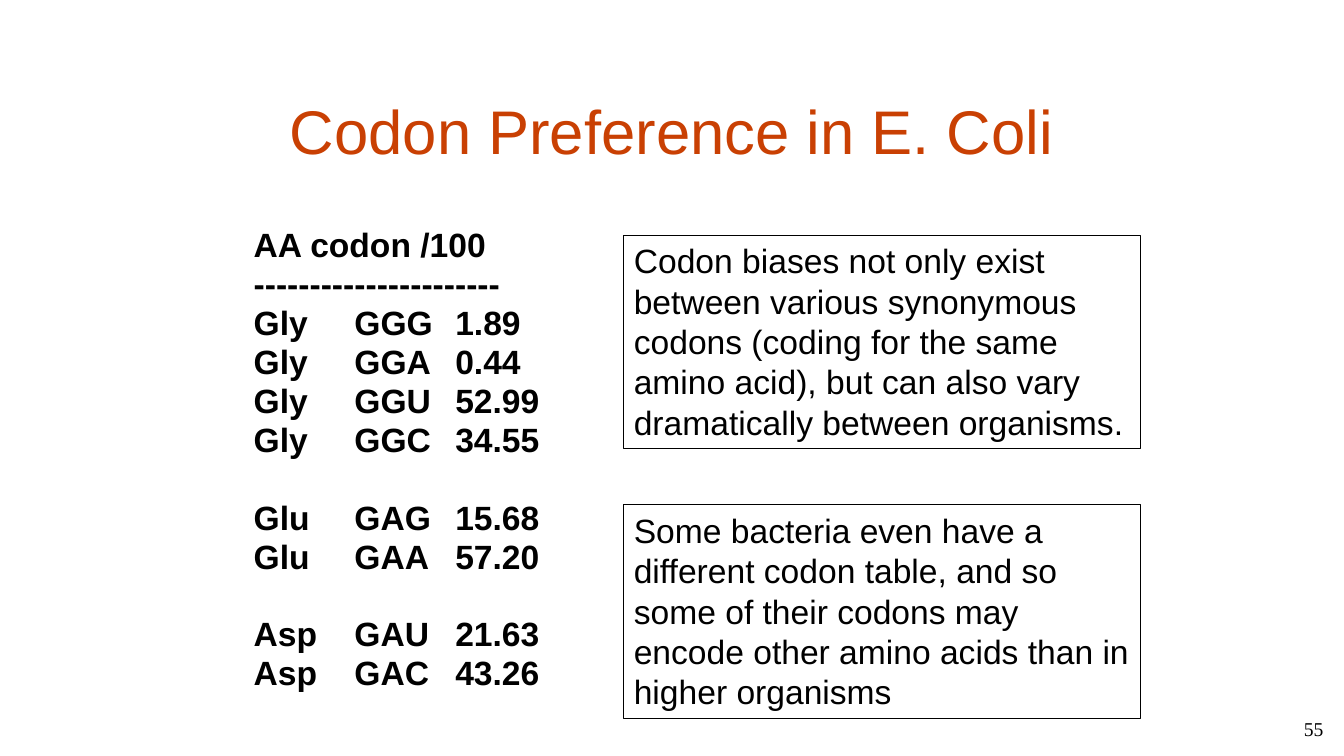
from pptx import Presentation
from pptx.dml.color import RGBColor
from pptx.enum.shapes import MSO_SHAPE
from pptx.enum.text import MSO_ANCHOR, MSO_AUTO_SIZE, PP_ALIGN
from pptx.oxml import parse_xml
from pptx.oxml.ns import nsdecls
from pptx.util import Pt

LEFT, CENTER, RIGHT = PP_ALIGN.LEFT, PP_ALIGN.CENTER, PP_ALIGN.RIGHT
TOP, MIDDLE = MSO_ANCHOR.TOP, MSO_ANCHOR.MIDDLE
NO_AUTOFIT = MSO_AUTO_SIZE.NONE
RECTANGLE = MSO_SHAPE.RECTANGLE

BLACK, WHITE, RUST = "000000", "FFFFFF", "C94003"
CODON_TABS = (99, 171)
ROW_HEIGHT, ROW_GAP = 23, 4.8
CODON_GROUPS = [
    ["AA codon /100", "----------------------", "Gly\tGGG\t1.89",
     "Gly\tGGA\t0.44", "Gly\tGGU\t52.99", "Gly\tGGC\t34.55"],
    ["Glu\tGAG\t15.68", "Glu\tGAA\t57.20"],
    ["Asp\tGAU\t21.63", "Asp\tGAC\t43.26"],
]
REMARKS = [
    ("Codon biases not only exist between various synonymous codons "
     "(coding for the same amino acid), but can also vary dramatically "
     "between organisms.", None),
    ("Some bacteria even have a different codon table, and so some of their "
     "codons may encode other amino acids than in higher organisms", WHITE),
]


def color(hex_value):
    """Turn a hex string into a colour."""
    return RGBColor.from_string(hex_value)


def place(shape, box):
    """Move a shape to a box given in points."""
    shape.left, shape.top, shape.width, shape.height = map(Pt, box)


def style(paragraph, size, hex_value=BLACK, font="Arial", bold=False, align=LEFT):
    """Set the font and alignment of a paragraph."""
    paragraph.alignment = align
    paragraph.font.name = font
    paragraph.font.size = Pt(size)
    paragraph.font.bold = bold
    paragraph.font.color.rgb = color(hex_value)


def add_title(slide, box):
    """Fill the title placeholder."""
    title = slide.shapes.title
    place(title, box)
    frame = title.text_frame
    frame.text = "Codon Preference in E. Coli"
    frame.vertical_anchor = MIDDLE
    frame.auto_size = NO_AUTOFIT
    style(frame.paragraphs[0], 44, RUST, align=CENTER)


def set_columns(paragraph):
    """Remove the bullet and indent and set the codon tab stops."""
    properties = paragraph._p.get_or_add_pPr()
    properties.set("marL", "0")
    properties.set("indent", "0")
    stops = "".join(f'<a:tab pos="{Pt(stop)}" algn="l"/>' for stop in CODON_TABS)
    properties.append(parse_xml(f"<a:buNone {nsdecls('a')}/>"))
    properties.append(parse_xml(f"<a:tabLst {nsdecls('a')}>{stops}</a:tabLst>"))


def add_codons(slide, box):
    """List the codon frequencies, one group per amino acid."""
    codons = slide.placeholders[1]
    place(codons, box)
    frame = codons.text_frame
    frame.auto_size = NO_AUTOFIT
    frame.vertical_anchor = TOP
    frame.margin_top = Pt(38)
    frame.text = "\n".join(row for group in CODON_GROUPS for row in group)
    rows = iter(frame.paragraphs)
    for group in CODON_GROUPS:
        for position in range(len(group)):
            row = next(rows)
            set_columns(row)
            style(row, 24, bold=True)
            row.line_spacing = Pt(ROW_HEIGHT)
            row.space_before = Pt(ROW_GAP if position else 2 * ROW_GAP + ROW_HEIGHT)
    frame.paragraphs[0].space_before = Pt(0)


def add_remark(slide, box, wording, fill):
    """Draw a framed remark."""
    remark = slide.shapes.add_shape(RECTANGLE, *map(Pt, box))
    remark.shadow.inherit = False
    remark.line.color.rgb = color(BLACK)
    remark.line.width = Pt(0.75)
    if fill:
        remark.fill.solid()
        remark.fill.fore_color.rgb = color(fill)
    else:
        remark.fill.background()
    frame = remark.text_frame
    frame.word_wrap = True
    frame.vertical_anchor = TOP
    frame.text = wording
    style(frame.paragraphs[0], 24)
    frame.paragraphs[0].line_spacing = Pt(28.8)


def add_page_number(slide, box):
    """Write the page number."""
    frame = slide.shapes.add_textbox(*map(Pt, box)).text_frame
    frame.word_wrap = True
    frame.text = "55"
    style(frame.paragraphs[0], 14, font="Times New Roman", align=RIGHT)


def main():
    """Build and save the slide."""
    deck = Presentation()
    deck.slide_width, deck.slide_height = Pt(960), Pt(540)
    slide = deck.slides.add_slide(deck.slide_layouts[1])
    add_title(slide, (72, 48, 816, 90))
    add_codons(slide, (174, 128, 612, 412))
    for index, (wording, fill) in enumerate(REMARKS):
        add_remark(slide, (445.7, 168 + 192.7 * index, 368.8, 152.5), wording, fill)
    add_page_number(slide, (752.4, 508.3, 200, 36))
    deck.save("out.pptx")


if __name__ == "__main__":
    main()
